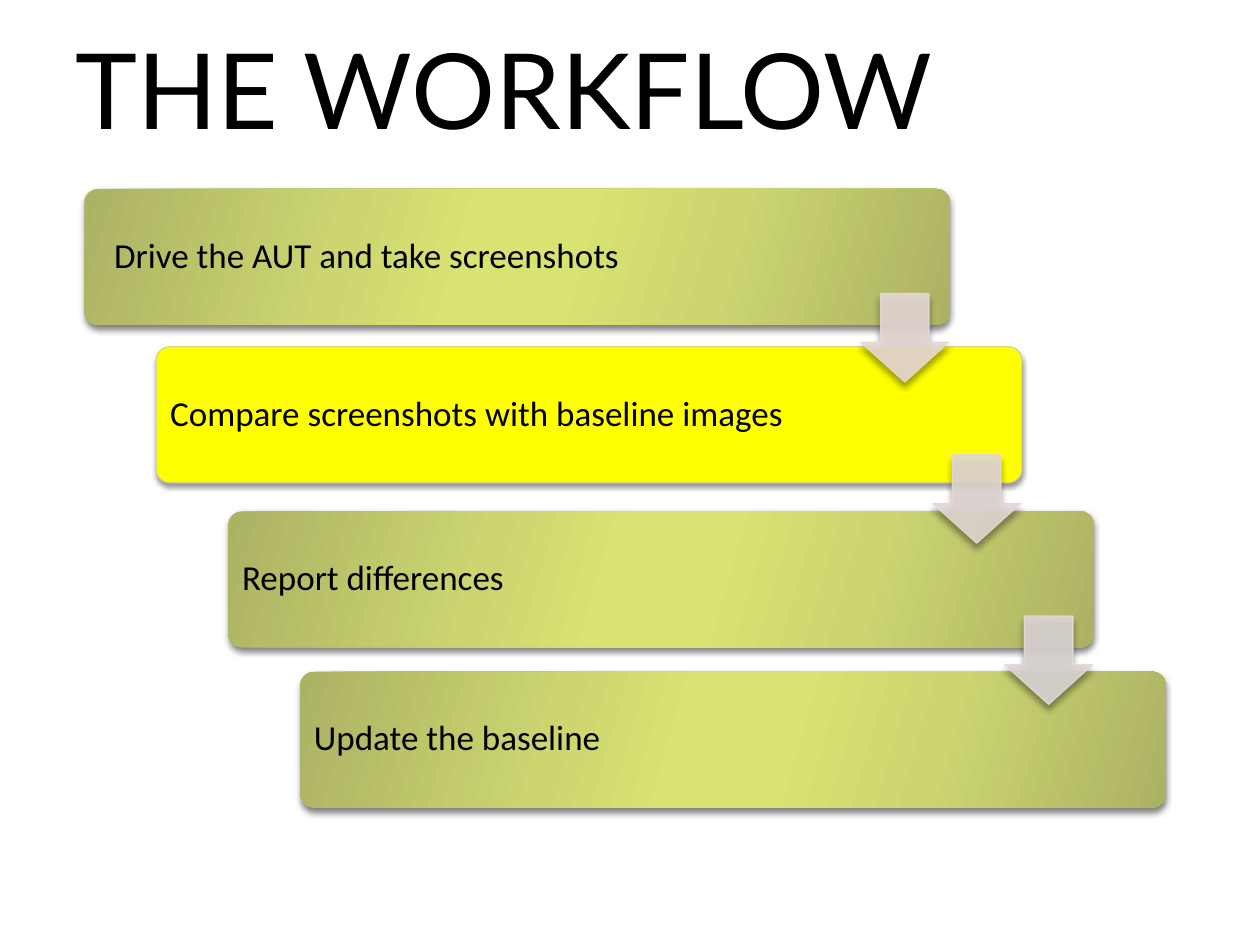
from lxml.etree import SubElement
from pptx import Presentation
from pptx.dml.color import RGBColor
from pptx.enum.shapes import MSO_SHAPE
from pptx.enum.text import MSO_ANCHOR, PP_ALIGN
from pptx.oxml import parse_xml
from pptx.oxml.ns import nsdecls, qn
from pptx.util import Cm, Pt

BAR_GRADIENT = [(0, "ACB264"), (30, "CCD570"), (45, "D9E371"),
                (55, "D9E371"), (73, "CCD570"), (100, "ACB264")]


def color(hex_string):
    return RGBColor.from_string(hex_string)


class SlideBuilder:
    title_font, body_font = "Lato", "Calibri"
    text_color = "000000"

    def __init__(self, slide):
        self.slide = slide

    def add_run(self, paragraph, text, font, size):
        run = paragraph.add_run()
        run.text = text
        run.font.name = font
        run.font.size = Pt(size)
        run.font.color.rgb = color(self.text_color)

    def title(self, text, left, top, width, height):
        shape = self.slide.shapes.title
        shape.left, shape.top = Cm(left), Cm(top)
        shape.width, shape.height = Cm(width), Cm(height)
        shape.text_frame.vertical_anchor = MSO_ANCHOR.BOTTOM
        paragraph = shape.text_frame.paragraphs[0]
        paragraph.alignment = PP_ALIGN.LEFT
        self.add_run(paragraph, text, self.title_font, 60)

    def shape(self, kind, left, top, width, height, adjustments):
        shape = self.slide.shapes.add_shape(
            kind, Cm(left), Cm(top), Cm(width), Cm(height))
        for index, value in enumerate(adjustments):
            shape.adjustments[index] = value
        shape.line.fill.background()
        return shape

    def solid(self, shape, fill, line, opacity=100):
        shape.fill.solid()
        shape.fill.fore_color.rgb = color(fill)
        shape.line.color.rgb = color(line)
        shape.line.width = Pt(0.75)
        if opacity < 100:
            for value in shape._element.spPr.iter(qn("a:srgbClr")):
                SubElement(value, qn("a:alpha"), val=str(opacity * 1000))

    def gradient(self, shape, stops, angle):
        stop_xml = "".join(
            f'<a:gs pos="{position * 1000}"><a:srgbClr val="{value}"/></a:gs>'
            for position, value in stops)
        shape.fill.background()
        properties = shape._element.spPr
        properties.replace(properties.find(qn("a:noFill")), parse_xml(
            f'<a:gradFill {nsdecls("a")} rotWithShape="1"><a:gsLst>{stop_xml}</a:gsLst>'
            f'<a:lin ang="{angle * 60000}" scaled="0"/></a:gradFill>'))

    def shadow(self, shape, opacity, blur, distance):
        shape.shadow.inherit = False
        effects = shape._element.spPr.find(qn("a:effectLst"))
        effects.append(parse_xml(
            f'<a:outerShdw {nsdecls("a")} blurRad="{Pt(blur)}" dist="{Pt(distance)}" '
            f'dir="5400000" rotWithShape="0"><a:srgbClr val="000000">'
            f'<a:alpha val="{opacity * 1000}"/></a:srgbClr></a:outerShdw>'))

    def bar(self, left, top, width, height, highlighted):
        shape = self.shape(MSO_SHAPE.ROUNDED_RECTANGLE, left, top, width, height, [0.1])
        if highlighted:
            self.solid(shape, "FFFF00", "D2DA7A")
            self.shadow(shape, 40, 3, 2)
        else:
            self.gradient(shape, BAR_GRADIENT, 16)
            self.shadow(shape, 50, 4, 2)

    def label(self, text, left, top, width, height, indent):
        box = self.slide.shapes.add_textbox(Cm(left), Cm(top), Cm(width), Cm(height))
        frame = box.text_frame
        frame.word_wrap = True
        frame.vertical_anchor = MSO_ANCHOR.MIDDLE
        frame.margin_left = Cm(0.2 + indent)
        frame.margin_right = frame.margin_top = frame.margin_bottom = Cm(0.2)
        paragraph = frame.paragraphs[0]
        paragraph.alignment = PP_ALIGN.LEFT
        paragraph.line_spacing = 0.9
        self.add_run(paragraph, text, self.body_font, 20)

    def arrow(self, left, top, size, fill):
        shape = self.shape(MSO_SHAPE.DOWN_ARROW, left, top, size, size, [0.55, 0.45])
        # The adjustments are listed as shaft width, then head length
        self.solid(shape, fill, "E6D9D5", opacity=90)
        self.shadow(shape, 40, 4, 3.4)


def main():
    presentation = Presentation()
    presentation.slide_width, presentation.slide_height = Cm(25.4), Cm(19.05)
    builder = SlideBuilder(presentation.slides.add_slide(presentation.slide_layouts[5]))
    builder.title("THE WORKFLOW", 1.27, 0.43, 22.86, 2.74)

    # Steps: text, top, label width, extra indent, highlighted
    steps = [
        ("Drive the AUT and take screenshots", 3.81, 14.25, 0.32, False),
        ("Compare screenshots with baseline images", 6.99, 14.05, 0, True),
        ("Report differences", 10.31, 14.05, 0, False),
        ("Update the baseline", 13.54, 14.05, 0, False),
    ]
    first_left, step_shift = 1.7, 1.45
    bar_width, bar_height, inset = 17.45, 2.74, 0.08
    for index, (text, top, label_width, indent, highlighted) in enumerate(steps):
        left = first_left + index * step_shift
        builder.bar(left, top, bar_width, bar_height, highlighted)
        builder.label(text, left + inset, top + inset, label_width,
                      bar_height - 2 * inset, indent)

    # Arrows between the steps, drawn over the bars
    for index, fill in enumerate(["E6D9D5", "E1D7D4", "DBD5D4"]):
        builder.arrow(first_left + 15.65 + index * step_shift,
                      5.92 + index * 3.25, 1.78, fill)

    presentation.save("out.pptx")


if __name__ == "__main__":
    main()
